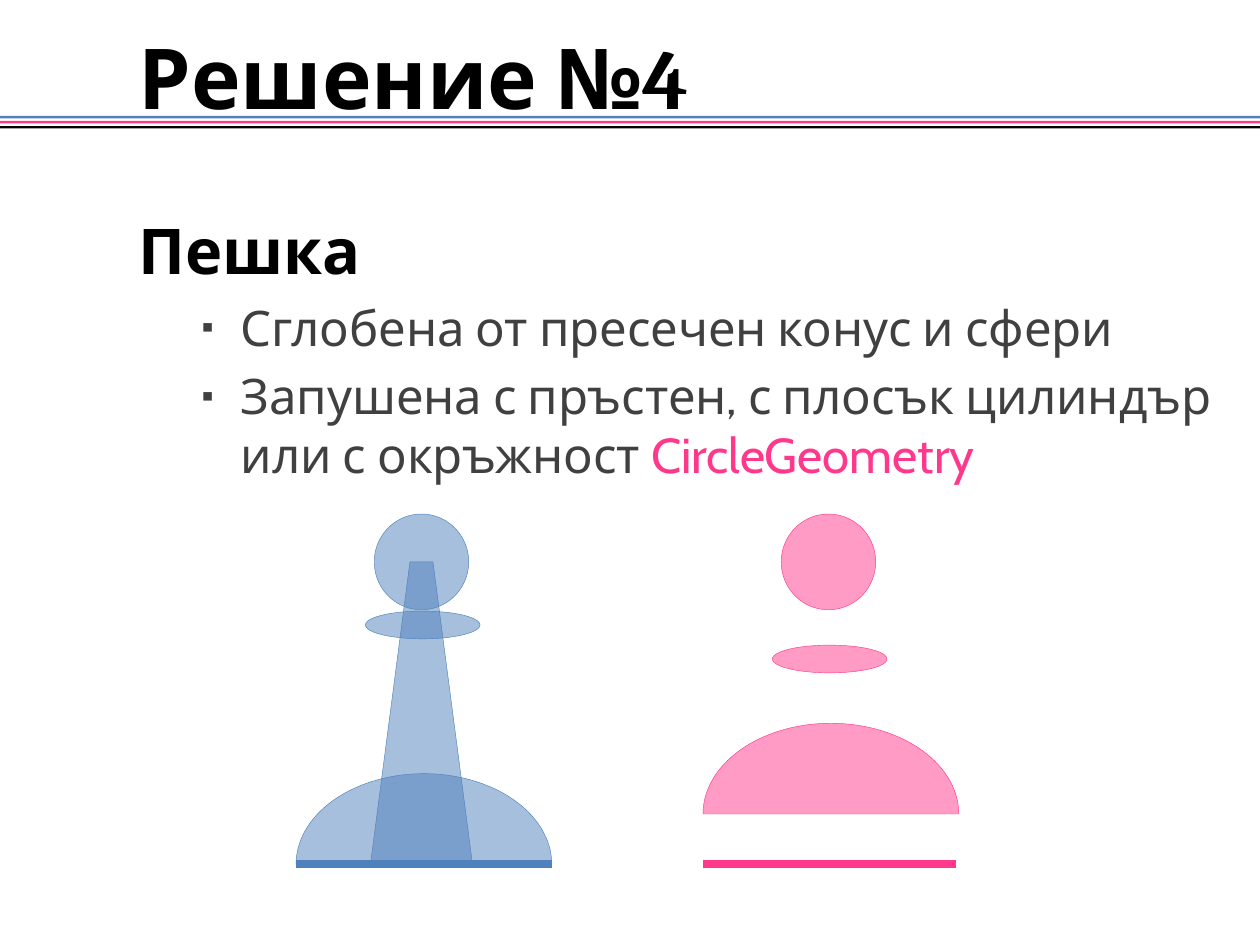
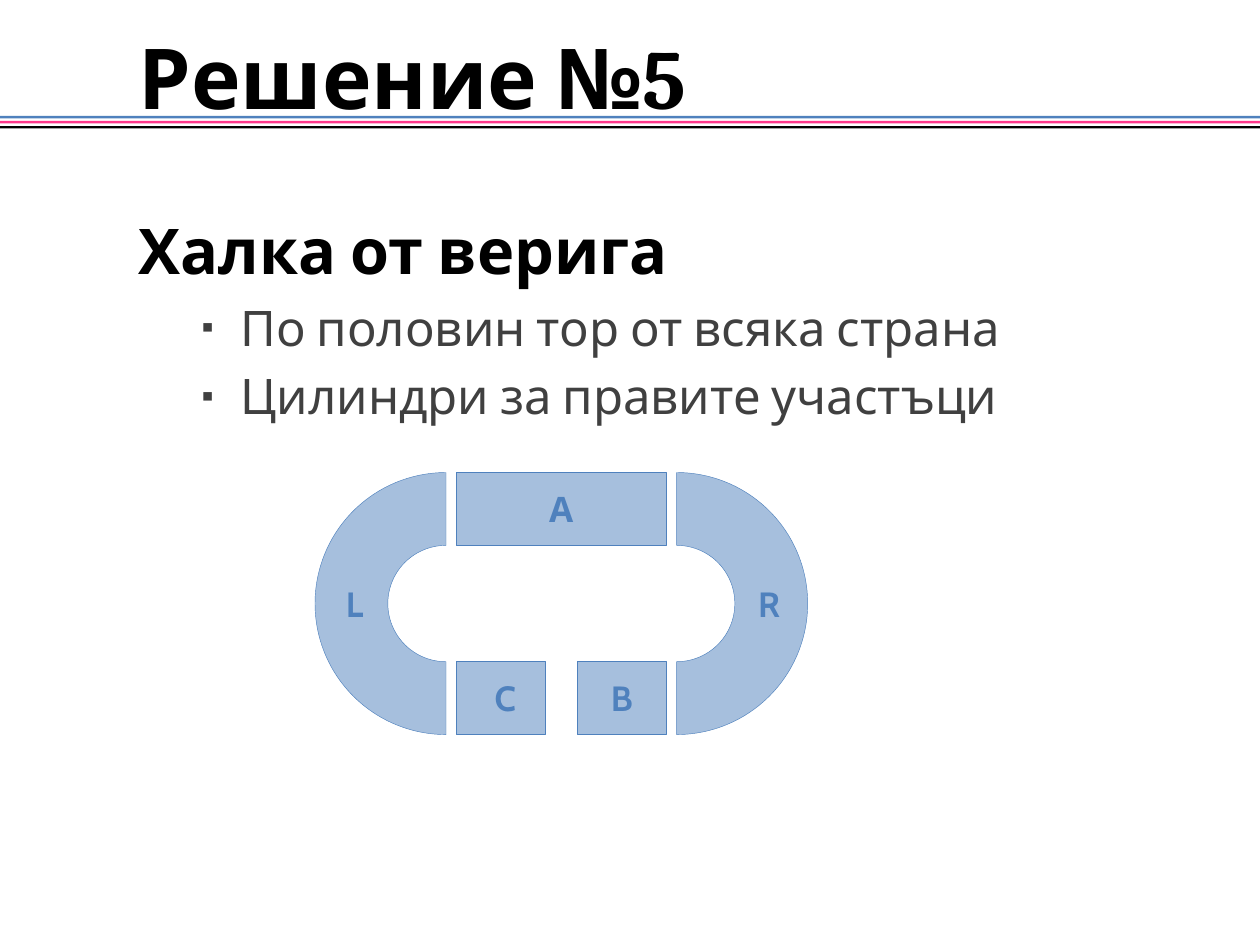
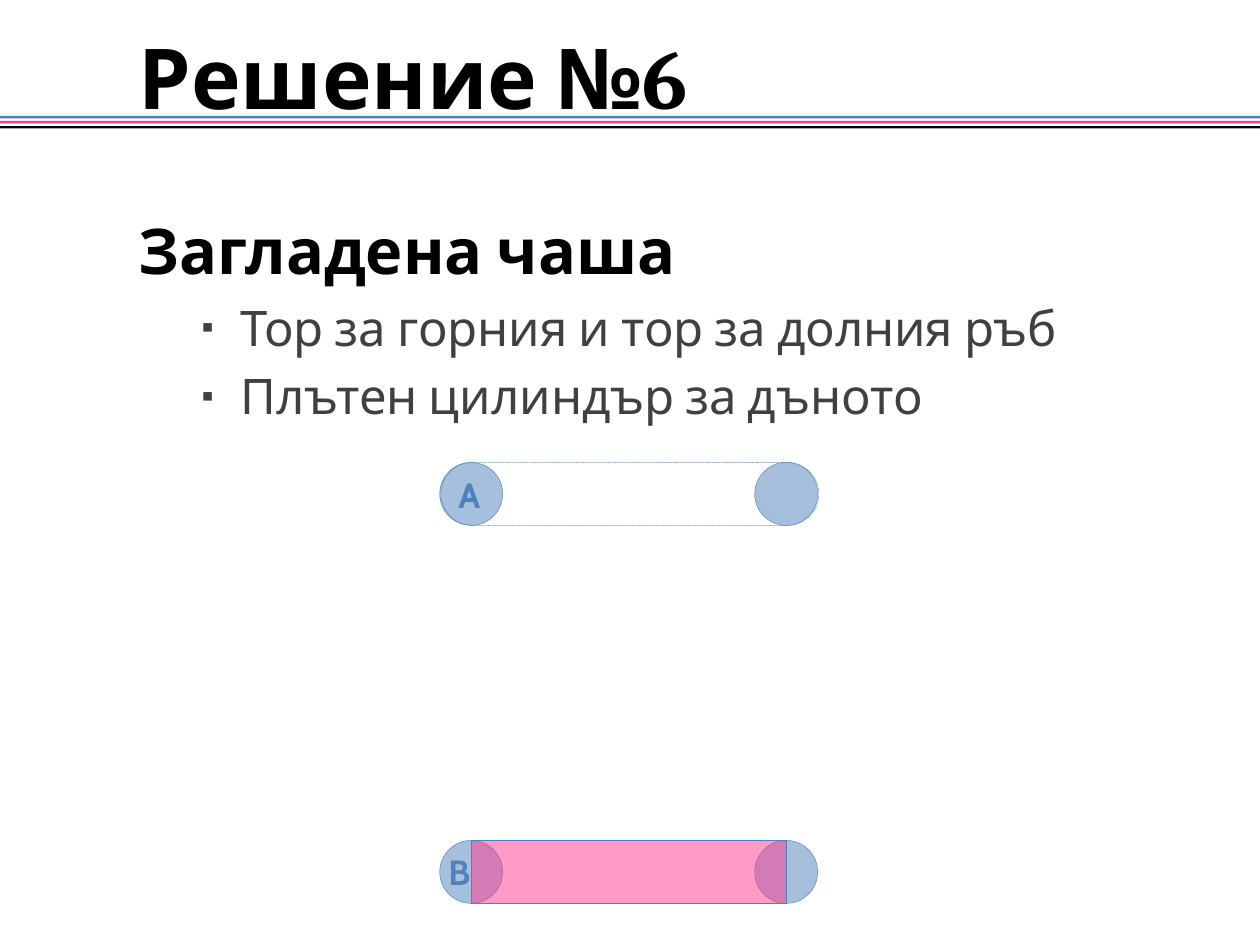
import math

from lxml import etree
from pptx import Presentation
from pptx.dml.color import RGBColor
from pptx.enum.dml import MSO_LINE
from pptx.enum.shapes import MSO_CONNECTOR, MSO_SHAPE
from pptx.enum.text import MSO_ANCHOR, MSO_AUTO_SIZE, PP_ALIGN
from pptx.oxml.ns import qn
from pptx.util import Inches, Pt

COLORS = {"blue": "4F81BD", "pink": "FF388C", "black": "000000", "gray": "404040"}
FONT, NUMBER_FONT = "Cabin", "Cambria"
TITLE_AND_BODY = 1
OVAL, RECT = MSO_SHAPE.OVAL, MSO_SHAPE.RECTANGLE
ROUNDED, TRAPEZOID = MSO_SHAPE.ROUNDED_RECTANGLE, MSO_SHAPE.TRAPEZOID
BLOCK_ARC = MSO_SHAPE.BLOCK_ARC
STRAIGHT = MSO_CONNECTOR.STRAIGHT
DOTTED = MSO_LINE.ROUND_DOT
LEFT, CENTER = PP_ALIGN.LEFT, PP_ALIGN.CENTER
MIDDLE = MSO_ANCHOR.MIDDLE
NO_FIT, GROW = MSO_AUTO_SIZE.NONE, MSO_AUTO_SIZE.SHAPE_TO_FIT_TEXT


def rgb(name):
    return RGBColor.from_string(COLORS[name])


def inches(*lengths):
    return [Inches(length) for length in lengths]


class Lesson:
    def __init__(self):
        self.deck = Presentation()
        self.deck.slide_width, self.deck.slide_height = inches(10, 7.5)
        self.page = None

    def set_font(self, font, size, color, bold=False):
        font.name, font.size, font.bold = FONT, Pt(size), bold
        font.color.rgb = rgb(color)

    def add_page(self, number, heading, bullets):
        """Start a slide; each bullet is a list of (text, color) spans."""
        self.page = self.deck.slides.add_slide(self.deck.slide_layouts[TITLE_AND_BODY])
        self.title(number)
        self.body(heading, bullets)

    def place(self, box, left, top, width, height):
        box.left, box.top, box.width, box.height = inches(left, top, width, height)

    def title(self, number):
        box = self.page.shapes.title
        self.place(box, 0, 0.25, 10, 0.71)
        frame = box.text_frame
        frame.auto_size, frame.vertical_anchor = NO_FIT, MIDDLE
        para = frame.paragraphs[0]
        para.alignment = LEFT
        self.indent(para, 1)
        self.set_font(para.font, 48, "black", True)
        para.add_run().text = "Решение №"
        span = para.add_run()
        span.text, span.font.name = str(number), NUMBER_FONT

    def indent(self, para, left, first=0):
        properties = para._p.get_or_add_pPr()
        properties.set("marL", str(Inches(left)))
        properties.set("indent", str(Inches(first)))
        return properties

    def body(self, heading, bullets):
        box = self.page.placeholders[1]
        self.place(box, 1, 1.33, 8.92, 6.08)
        frame = box.text_frame
        frame.auto_size = NO_FIT
        para = frame.paragraphs[0]
        para.line_spacing = 1.5
        etree.SubElement(self.indent(para, 0), qn("a:buNone"))
        self.set_font(para.font, 36, "black", True)
        para.add_run().text = heading
        for spans in bullets:
            para = frame.add_paragraph()
            para.level = 1
            self.square_bullet(para)
            self.set_font(para.font, 28, "gray")
            for text, color in spans:
                span = para.add_run()
                span.text, span.font.color.rgb = text, rgb(color)

    def square_bullet(self, para):
        properties = self.indent(para, 0.81, -0.31)
        color = etree.SubElement(properties, qn("a:buClr"))
        etree.SubElement(color, qn("a:srgbClr"), val=COLORS["gray"])
        etree.SubElement(properties, qn("a:buSzPct"), val="70000")
        etree.SubElement(properties, qn("a:buChar"), char="▪")

    def label(self, text, left, top, width=0.45):
        box = self.page.shapes.add_textbox(*inches(left, top, width, 0.44))
        frame = box.text_frame
        frame.word_wrap, frame.auto_size = True, GROW
        para = frame.paragraphs[0]
        para.alignment = CENTER
        self.set_font(para.font, 20, "blue", True)
        para.add_run().text = text

    def paint(self, shape, fill, line):
        """Give a shape a half-transparent fill and a hairline."""
        shape.shadow.inherit = False
        shape.line.color.rgb, shape.line.width = rgb(line), Pt(0.25)
        if fill is None:
            shape.fill.background()
            return
        shape.fill.solid()
        shape.fill.fore_color.rgb = rgb(fill)
        color = shape.element.spPr.find(qn("a:solidFill"))[0]
        etree.SubElement(color, qn("a:alpha"), val="50000")

    def solid(self, kind, left, top, width, height, fill="blue", line="blue",
              adjustments=(), rotation=0):
        shape = self.page.shapes.add_shape(kind, *inches(left, top, width, height))
        for index, value in enumerate(adjustments):
            shape.adjustments[index] = value
        shape.rotation = rotation
        self.paint(shape, fill, line)
        return shape

    def dome(self, left, top, width, height, color, steps=60):
        """Draw the upper half of an ellipse."""
        angles = [math.pi * step / steps for step in range(steps + 1)]
        points = [inches(left + width / 2 * (1 - math.cos(angle)),
                         top + height * (1 - math.sin(angle))) for angle in angles]
        builder = self.page.shapes.build_freeform(*points[0])
        builder.add_line_segments(points[1:], close=True)
        self.paint(builder.convert_to_shape(), color, color)

    def base_line(self, start, end, y, color):
        line = self.page.shapes.add_connector(STRAIGHT, *inches(start, y, end, y))
        line.line.color.rgb, line.line.width = rgb(color), Pt(4.5)
        etree.SubElement(line.element.spPr, qn("a:effectLst"))

    def master_stripes(self):
        """Draw three stripes on the current slide and move them to the master."""
        for index, color in enumerate(("blue", "pink", "black")):
            stripe = self.page.shapes.add_shape(
                RECT, *inches(-0.08, 0.92 + 0.04 * index, 10.17, 0.02))
            stripe.shadow.inherit = False
            stripe.fill.solid()
            stripe.fill.fore_color.rgb = rgb(color)
            stripe.line.fill.background()
            self.deck.slide_master.shapes.element.append(stripe.element)


def pawn_page(lesson):
    lesson.add_page(4, "Пешка", [
        [("Сглобена от пресечен конус и сфери", "gray")],
        [("Запушена с пръстен, с плосък цилиндър или с окръжност ", "gray"),
         ("CircleGeometry", "pink")]])
    lesson.master_stripes()
    lesson.solid(TRAPEZOID, 2.94, 4.46, 0.81, 2.4, adjustments=[0.387])
    for left, color, collar_top, dome_top, base_width in (
            (2.35, "blue", 4.85, 6.14, 2.03), (5.58, "pink", 5.12, 5.74, 2.01)):
        lesson.solid(OVAL, left + 0.62, 4.08, 0.75, 0.76, color, color)
        lesson.dome(left, dome_top, 2.03, 0.72, color)
        lesson.solid(OVAL, left + 0.55, collar_top, 0.91, 0.22, color, color)
        lesson.base_line(left, left + base_width, 6.86, color)


def chain_page(lesson):
    lesson.add_page(5, "Халка от верига", [
        [("По половин тор от всяка страна", "gray")],
        [("Цилиндри за правите участъци", "gray")]])
    for left, rotation in ((2.5, 270), (4.33, 90)):
        lesson.solid(BLOCK_ARC, left, 3.75, 2.08, 2.08,
                     adjustments=[108, 0, 0.278], rotation=rotation)
    for left, top, width in ((3.62, 3.75, 1.67), (3.62, 5.25, 0.71), (4.58, 5.25, 0.71)):
        lesson.solid(RECT, left, top, width, 0.58)
    for text, left, top in (("R", 5.88, 4.57), ("L", 2.59, 4.57),
                            ("А", 4.23, 3.82), ("B", 4.71, 5.32)):
        lesson.label(text, left, top)
    lesson.label("C", 3.82, 5.32, 0.38)


def cup_page(lesson):
    lesson.add_page(6, "Загладена чаша", [
        [("Тор за горния и тор за долния ръб", "gray")],
        [("Плътен цилиндър за дъното", "gray")]])
    for top in (6.67, 3.67):
        for left in (3.49, 5.99):
            lesson.solid(OVAL, left, top, 0.5, 0.5)
    rim = lesson.solid(ROUNDED, 3.5, 3.67, 3, 0.5, fill=None, adjustments=[0.5])
    rim.line.dash_style = DOTTED
    lesson.solid(RECT, 3.74, 6.67, 2.5, 0.5, fill="pink")
    lesson.label("A", 3.5, 3.71)
    lesson.label("B", 3.42, 6.7)


def main():
    lesson = Lesson()
    pawn_page(lesson)
    chain_page(lesson)
    cup_page(lesson)
    lesson.deck.save("out.pptx")


if __name__ == "__main__":
    main()
